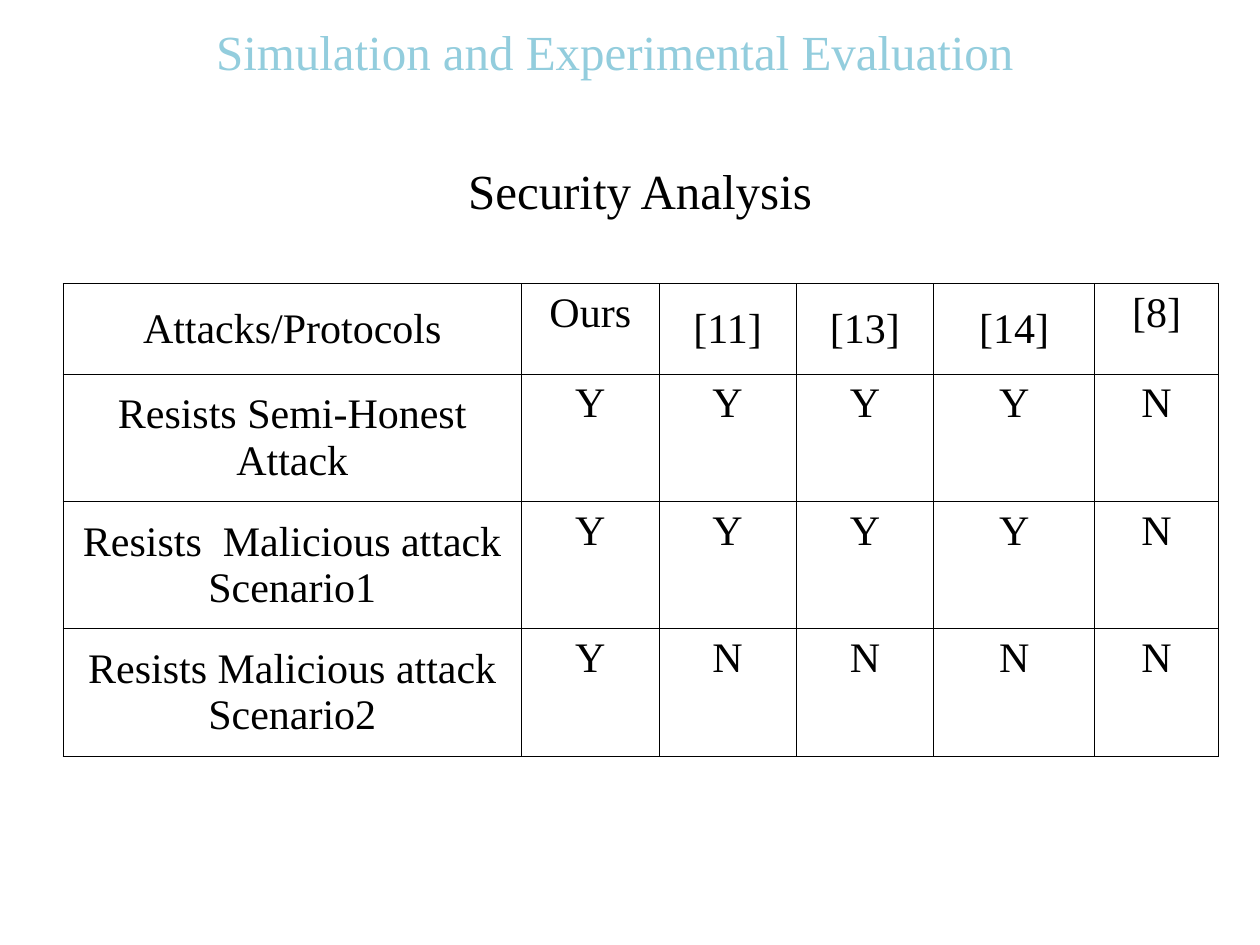
from lxml import etree
from pptx import Presentation
from pptx.dml.color import RGBColor
from pptx.enum.text import MSO_ANCHOR, PP_ALIGN
from pptx.oxml.ns import qn
from pptx.util import Inches, Pt

CENTER = PP_ALIGN.CENTER
TOP, MIDDLE = MSO_ANCHOR.TOP, MSO_ANCHOR.MIDDLE
TITLE_ONLY = 5
COLORS = {"heading": "93CDDD", "text": "000000", "border": "000000"}
FONT = "Times New Roman"

COLUMN_WIDTHS = [3.64, 1.09, 1.09, 1.09, 1.28, 0.98]
ROW_HEIGHTS = [0.72, 1.01, 1.01, 1.01]
ROWS = [
    ["Attacks/Protocols", "Ours", "[11]", "[13]", "[14]", "[8]"],
    ["Resists Semi-Honest Attack", *"YYYYN"],
    ["Resists  Malicious attack Scenario1", *"YYYYN"],
    ["Resists Malicious attack Scenario2", *"YNNNN"],
]
MIDDLE_HEADERS = {"[11]", "[13]", "[14]"}


class SlideBuilder:
    def __init__(self, slide):
        self.slide = slide

    def add_text(self, frame, text, size, color="text"):
        para = frame.paragraphs[0]
        para.alignment = CENTER
        span = para.add_run()
        span.text = text
        span.font.name = FONT
        span.font.size = Pt(size)
        span.font.color.rgb = RGBColor.from_string(COLORS[color])
        return para

    def heading(self, text, left, top, width, height):
        box = self.slide.shapes.add_textbox(
            Inches(left), Inches(top), Inches(width), Inches(height))
        frame = box.text_frame
        frame.word_wrap = True
        frame.margin_left = frame.margin_top = frame.margin_right = 0
        self.add_text(frame, text, 28, "heading")

    def title(self, text, left, top, width, height):
        title = self.slide.shapes.title
        title.left, title.top = Inches(left), Inches(top)
        title.width, title.height = Inches(width), Inches(height)
        title.text_frame.vertical_anchor = MIDDLE
        self.add_text(title.text_frame, text, 28)

    def table(self, rows, left, top, widths, heights):
        table = self.slide.shapes.add_table(
            len(rows), len(widths), Inches(left), Inches(top),
            Inches(sum(widths)), Inches(sum(heights))).table
        table.first_row = table.horz_banding = False
        for column, width in zip(table.columns, widths):
            column.width = Inches(width)
        for row, height in zip(table.rows, heights):
            row.height = Inches(height)
        for row, texts in zip(table.rows, rows):
            for index, (cell, text) in enumerate(zip(row.cells, texts)):
                centered = index == 0 or text in MIDDLE_HEADERS
                cell.vertical_anchor = MIDDLE if centered else TOP
                cell.margin_left = cell.margin_right = Inches(0.08)
                self.add_text(cell.text_frame, text, 24).space_after = Pt(4)
                self.border(cell)
                cell.fill.background()

    def border(self, cell):
        properties = cell._tc.get_or_add_tcPr()
        for side in ("lnL", "lnR", "lnT", "lnB"):
            line = etree.SubElement(properties, qn(f"a:{side}"), w=str(Pt(0.45)))
            fill = etree.SubElement(line, qn("a:solidFill"))
            etree.SubElement(fill, qn("a:srgbClr"), val=COLORS["border"])


def main():
    deck = Presentation()
    deck.slide_width, deck.slide_height = Inches(10), Inches(7.5)
    page = SlideBuilder(deck.slides.add_slide(deck.slide_layouts[TITLE_ONLY]))
    page.heading("Simulation and Experimental Evaluation", 0.67, 0.17, 8.42, 0.52)
    page.title("Security Analysis", 0.58, 1.17, 9, 0.67)
    page.table(ROWS, 0.5, 2.25, COLUMN_WIDTHS, ROW_HEIGHTS)
    deck.save("out.pptx")


if __name__ == "__main__":
    main()
